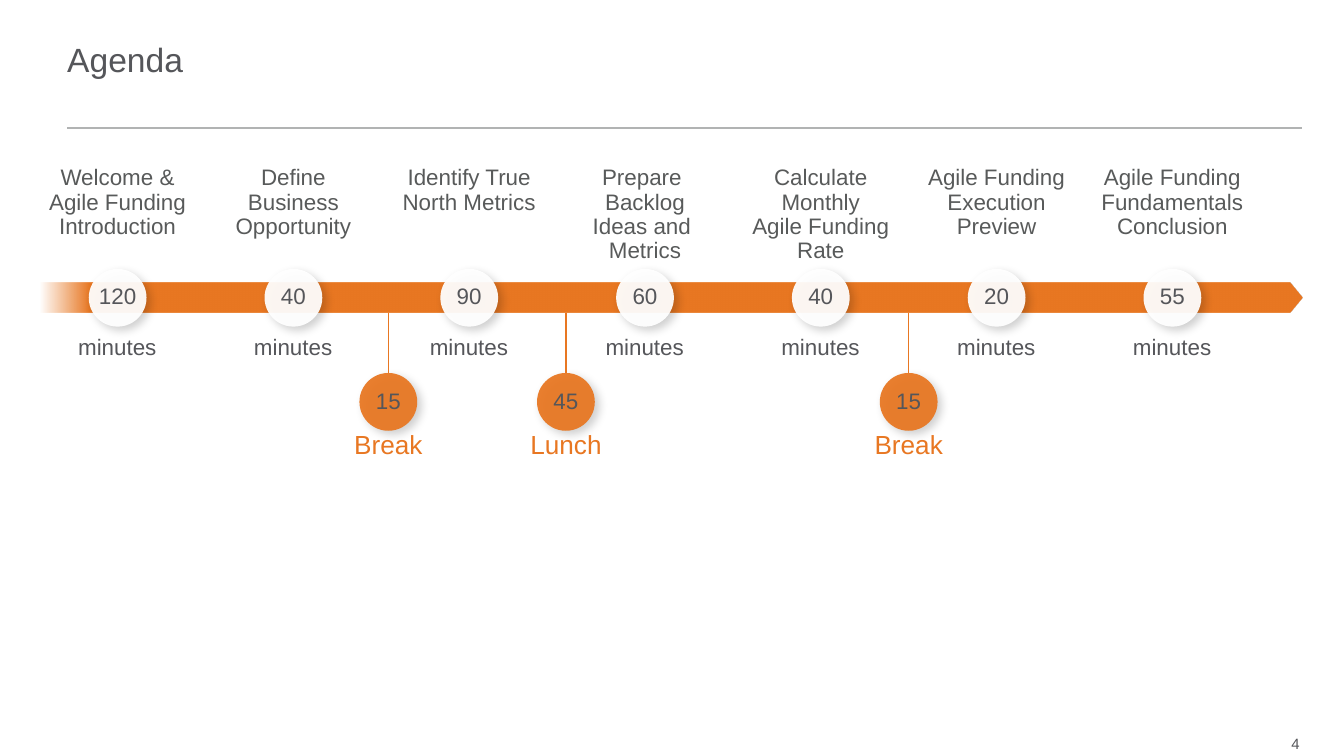
from collections import namedtuple
from lxml.etree import SubElement
from pptx import Presentation
from pptx.dml.color import RGBColor
from pptx.enum.shapes import MSO_CONNECTOR as CONN, MSO_SHAPE as SHAPE
from pptx.enum.text import MSO_ANCHOR as ANCHOR, MSO_AUTO_SIZE as AUTO, PP_ALIGN as ALIGN
from pptx.oxml import parse_xml
from pptx.oxml.ns import nsdecls, qn
from pptx.util import Inches, Pt

W = 10
H = W * 9 / 16
COLORS = {"orange": "E87722", "white": "FFFFFF", "text": "55565A",
          "label": "585A5A", "rule": "B1B3B3"}
Box = namedtuple("Box", "x y w h")

SESSIONS = [
    ("120", "Welcome &\nAgile Funding\nIntroduction"),
    ("40", "Define\nBusiness\nOpportunity"),
    ("90", "Identify True\nNorth Metrics"),
    ("60", "Prepare \nBacklog\nIdeas and \nMetrics"),
    ("40", "Calculate\nMonthly\nAgile Funding\nRate"),
    ("20", "Agile Funding\nExecution\nPreview"),
    ("55", "Agile Funding\nFundamentals\nConclusion"),
]
# Minutes, caption, centre in columns from the left end of the bar
PAUSES = [("15", "Break", 1.98), ("45", "Lunch", 2.99), ("15", "Break", 4.94)]
COLUMN = 0.1393  # share of the timeline's width
FIRST = 0.44     # centre of the first session, in columns
DOT = 0.43       # circle diameter


def rgb(name):
    return RGBColor.from_string(COLORS[name])


def inches(box):
    return [Inches(v) for v in box]


def write(sp, text, size=12, color="text", align=ALIGN.CENTER, anchor=ANCHOR.MIDDLE,
          inset=(0, 0), wrap=True, spacing=None, auto=AUTO.NONE):
    tf = sp.text_frame
    tf.word_wrap, tf.auto_size, tf.vertical_anchor = wrap, auto, anchor
    tf.margin_left = tf.margin_right = Inches(inset[0])
    tf.margin_top = tf.margin_bottom = Inches(inset[1])
    tf.text = text
    for p in tf.paragraphs:
        p.alignment, p.line_spacing = align, spacing
        for r in p.runs:
            r.font.name, r.font.size = "Arial", Pt(size)
            r.font.color.rgb = rgb(color)


def add_text(s, box, text, **fmt):
    write(s.shapes.add_textbox(*inches(box)), text, **fmt)


def add_line(s, x1, y1, x2, y2, color, width):
    line = s.shapes.add_connector(CONN.STRAIGHT, *inches((x1, y1, x2, y2)))
    line.line.color.rgb, line.line.width = rgb(color), Pt(width)
    SubElement(line._element.spPr, qn("a:effectLst"))
    return line


def add_dot(s, cx, cy, text, color):
    sp = s.shapes.add_shape(SHAPE.OVAL, *inches((cx - DOT / 2, cy - DOT / 2, DOT, DOT)))
    sp.fill.solid()
    sp.fill.fore_color.rgb = rgb(color)
    sp.line.fill.background()
    fill = sp._element.spPr.find(qn("a:solidFill"))
    SubElement(fill[0], qn("a:alpha"), val="94000")
    # Soft shadow to the lower right
    sp._element.spPr.append(parse_xml(
        f'<a:effectLst {nsdecls("a")}><a:outerShdw blurRad="{Pt(5)}" dist="{Pt(3)}" '
        'dir="2700000" algn="tl" rotWithShape="0"><a:srgbClr val="000000">'
        '<a:alpha val="20000"/></a:srgbClr></a:outerShdw></a:effectLst>'))
    write(sp, text, spacing=0.9)
    return sp


def add_bar(s, box):
    sp = s.shapes.add_shape(SHAPE.PENTAGON, *inches(box))
    sp.adjustments[0] = 0.43
    sp.shadow.inherit = False
    sp.line.fill.background()
    # Solid along the bar, fading out at the left end
    sp.fill.gradient()
    old = sp._element.spPr.find(qn("a:gradFill"))
    color = COLORS["orange"]
    old.getparent().replace(old, parse_xml(
        f'<a:gradFill {nsdecls("a")} rotWithShape="1"><a:gsLst>'
        f'<a:gs pos="96000"><a:srgbClr val="{color}"/></a:gs>'
        f'<a:gs pos="100000"><a:srgbClr val="{color}"><a:alpha val="0"/></a:srgbClr></a:gs>'
        '</a:gsLst><a:lin ang="10800000" scaled="0"/></a:gradFill>'))


def add_header(s, box):
    title = s.shapes.title
    title.left, title.top, title.width, title.height = inches(
        (box.x, box.y, box.w * 0.79, box.h * 0.84))
    write(title, "Agenda", size=18, align=ALIGN.LEFT)
    bottom = box.y + box.h
    add_line(s, box.x, bottom, box.x + box.w, bottom, "rule", 1)


def add_timeline(s, box):
    col = box.w * COLUMN
    mid = box.y + box.h * 0.417
    bar_h = box.h * 0.09
    add_bar(s, Box(box.x, mid - bar_h / 2, box.w, bar_h))

    # Sessions on the bar
    for i, (minutes, label) in enumerate(SESSIONS):
        cx = box.x + (FIRST + i) * col
        add_dot(s, cx, mid, minutes, "white")
        add_text(s, Box(cx - DOT / 2, box.y, DOT, box.h * 0.11), label, color="label",
                 anchor=ANCHOR.TOP, inset=(0.1, 0.05), wrap=False, spacing=0.9)
        add_text(s, Box(cx - col * 0.3, box.y + box.h * 0.504, col * 0.6, box.h * 0.12),
                 "minutes", align=ALIGN.LEFT, anchor=ANCHOR.TOP, inset=(0.1, 0.05),
                 wrap=False, auto=AUTO.SHAPE_TO_FIT_TEXT)

    # Pauses hanging below the bar
    for minutes, caption, place in PAUSES:
        cx = box.x + place * col
        cy = box.y + box.h * 0.732
        dot = add_dot(s, cx, cy, minutes, "orange")
        line = add_line(s, cx, mid + bar_h / 2, cx, cy - DOT / 2, "orange", 0.75)
        line.end_connect(dot, 0)
        add_text(s, Box(cx - col * 0.55, box.y + box.h * 0.78, col * 1.1, box.h * 0.22),
                 caption, size=14, color="orange", anchor=ANCHOR.TOP,
                 inset=(0.2, 0.16), spacing=0.9, auto=AUTO.SHAPE_TO_FIT_TEXT)


def add_page_number(s, box):
    add_text(s, box, "4", size=8, align=ALIGN.RIGHT, wrap=False)


def main():
    prs = Presentation()
    prs.slide_width, prs.slide_height = Inches(W), Inches(H)
    s = prs.slides.add_slide(prs.slide_layouts[5])
    add_header(s, Box(W * 0.05, 0.07, W * 0.919, 0.88))
    add_timeline(s, Box(W * 0.03, 1.19, W * 0.939, 2.46))
    add_page_number(s, Box(W * 0.925, 5.43, W * 0.042, 0.2))
    prs.save("out.pptx")


if __name__ == "__main__":
    main()
